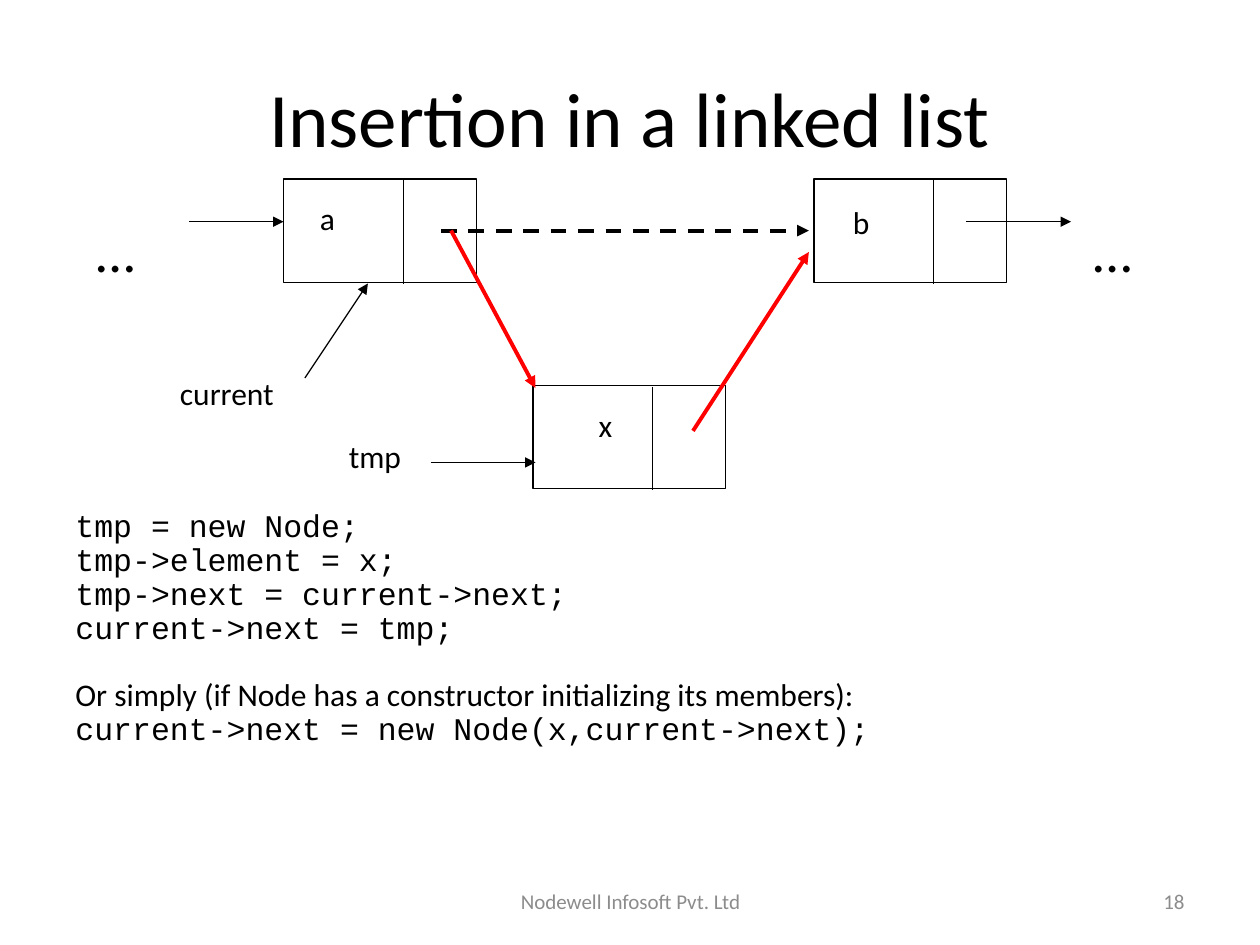
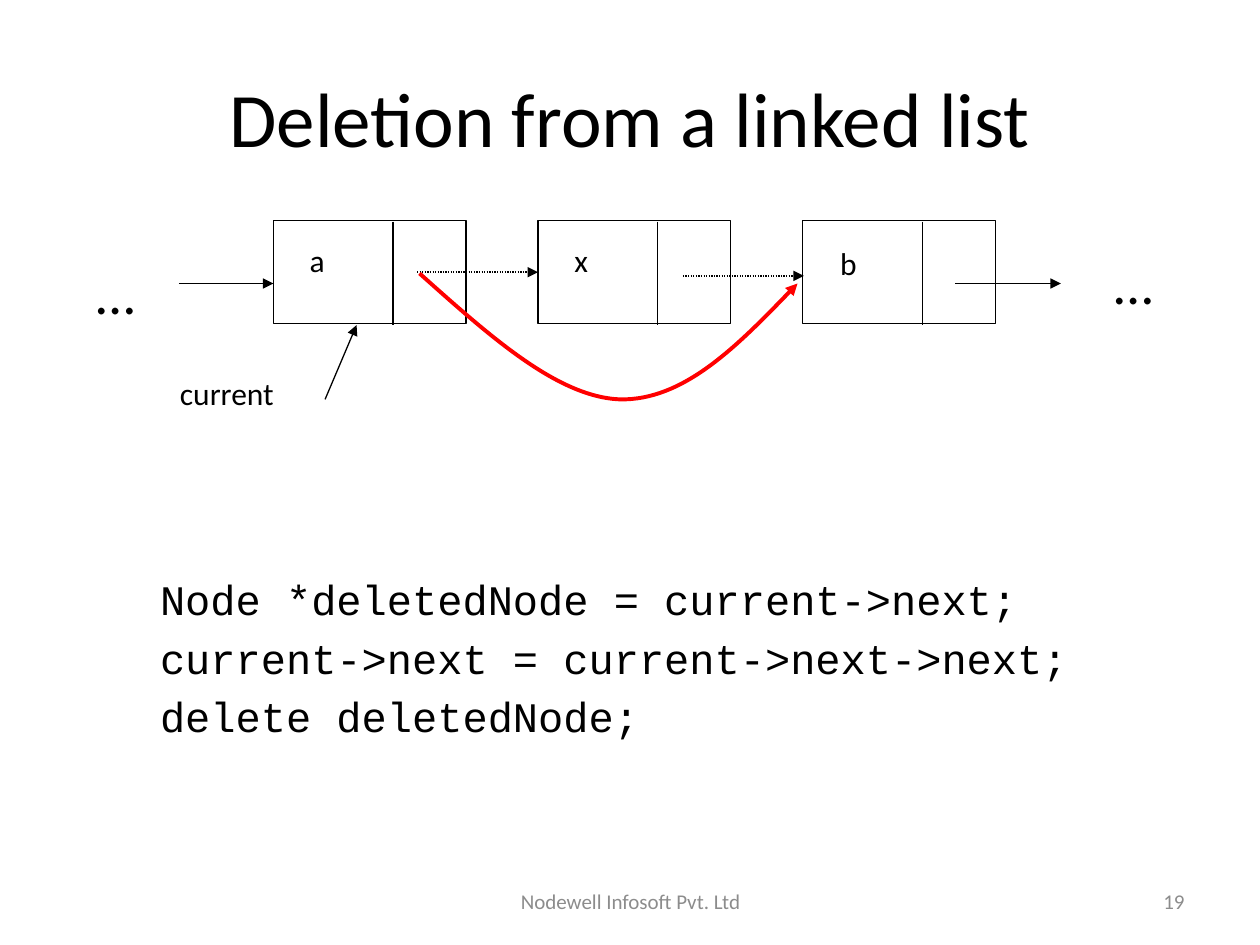
import lxml.etree
import pptx
import pptx.dml.color
import pptx.enum.dml
import pptx.enum.shapes
import pptx.enum.text
import pptx.oxml.ns
import pptx.util

BLACK, WHITE, RED, GREY = "000000", "FFFFFF", "FF0000", "8C8C8C"
SANS, MONO = "Calibri", "Courier New"
NODE_WIDTH, NODE_HEIGHT, DIVIDER = 1.53, 0.82, 0.95
Inches = pptx.util.Inches
Align = pptx.enum.text.PP_ALIGN
Dash = pptx.enum.dml.MSO_LINE


def color(value):
    """Turn a hex string into a colour."""
    return pptx.dml.color.RGBColor.from_string(value)


def style(paragraph, size, font=SANS, tint=BLACK, align=Align.LEFT):
    """Set the font and alignment of a paragraph."""
    paragraph.font.size = pptx.util.Pt(size)
    paragraph.font.name = font
    paragraph.font.color.rgb = color(tint)
    paragraph.alignment = align


def place(shape, left, top, width, height):
    """Move and size a shape, in inches."""
    shape.left, shape.top = Inches(left), Inches(top)
    shape.width, shape.height = Inches(width), Inches(height)


def add_text(slide, text, box, size, tint=BLACK, align=Align.LEFT,
             anchor=pptx.enum.text.MSO_ANCHOR.TOP):
    """Add a one-paragraph text box."""
    shape = slide.shapes.add_textbox(*map(Inches, box))
    frame = shape.text_frame
    frame.word_wrap = True
    frame.vertical_anchor = anchor
    frame.text = text
    style(frame.paragraphs[0], size, tint=tint, align=align)


def style_line(shape, tint=BLACK, width=0.75, dash=None, arrow=True):
    """Set the stroke of a line or curve, with an arrowhead at its end."""
    line = shape.line
    line.color.rgb = color(tint)
    line.width = pptx.util.Pt(width)
    if dash is not None:
        line.dash_style = dash
    if arrow:
        stroke = shape._element.spPr.find(pptx.oxml.ns.qn("a:ln"))
        lxml.etree.SubElement(stroke, pptx.oxml.ns.qn("a:tailEnd"), type="triangle")


def add_line(slide, origin, start, end, **stroke):
    """Draw a straight line between two points relative to the origin."""
    left, top = origin
    connector = slide.shapes.add_connector(
        pptx.enum.shapes.MSO_CONNECTOR.STRAIGHT,
        Inches(left + start[0]), Inches(top + start[1]),
        Inches(left + end[0]), Inches(top + end[1]))
    style_line(connector, **stroke)
    lxml.etree.SubElement(connector._element.spPr, pptx.oxml.ns.qn("a:effectLst"))


def add_curve(slide, origin, points, **stroke):
    """Draw a cubic curve through points relative to the origin."""
    corners = [(Inches(origin[0] + x), Inches(origin[1] + y)) for x, y in points]
    builder = slide.shapes.build_freeform(*corners[0], scale=1.0)
    builder.add_line_segments(corners[1:], close=False)
    curve = builder.convert_to_shape()
    segments = list(curve._element.iter(pptx.oxml.ns.qn("a:lnTo")))
    outline = segments[0].getparent()
    for first in range(0, len(segments), 3):
        bezier = lxml.etree.SubElement(outline, pptx.oxml.ns.qn("a:cubicBezTo"))
        for segment in segments[first:first + 3]:
            bezier.append(segment[0])
            outline.remove(segment)
    curve.shadow.inherit = False
    curve.fill.background()
    style_line(curve, **stroke)


def add_node(slide, origin, offset, label, label_offset=(0.19, 0.11), align=Align.LEFT):
    """Draw a list node: a data cell with its label and a pointer cell."""
    left, top = origin[0] + offset[0], origin[1] + offset[1]
    box = slide.shapes.add_shape(
        pptx.enum.shapes.MSO_SHAPE.RECTANGLE,
        *map(Inches, (left, top, NODE_WIDTH, NODE_HEIGHT)))
    box.shadow.inherit = False
    box.fill.solid()
    box.fill.fore_color.rgb = color(WHITE)
    style_line(box, arrow=False)
    add_line(slide, (left, top), (DIVIDER, 0.01), (DIVIDER, NODE_HEIGHT + 0.01), arrow=False)
    add_text(slide, label, (left + label_offset[0], top + label_offset[1], 0.77, 0.61),
             18, align=align)


def add_label(slide, origin, offset, text, size=18, width=1.5, height=0.5):
    """Add a label at an offset from the origin."""
    add_text(slide, text, (origin[0] + offset[0], origin[1] + offset[1], width, height), size)


def add_ellipses(slide, origin, offsets):
    """Mark where the list goes on beyond the diagram."""
    for offset in offsets:
        add_label(slide, origin, offset, "…", 32, 0.83, 0.63)


def add_frame(presentation, layout, title, number):
    """Add a slide with its title, footer and number."""
    slide = presentation.slides.add_slide(presentation.slide_layouts[layout])
    place(slide.shapes.title, 0.5, 0.3, 9, 1.25)
    slide.shapes.title.text_frame.text = title
    style(slide.shapes.title.text_frame.paragraphs[0], 44, align=Align.CENTER)
    middle = pptx.enum.text.MSO_ANCHOR.MIDDLE
    add_text(slide, "Nodewell Infosoft Pvt. Ltd", (3.42, 6.95, 3.17, 0.4), 12, GREY,
             Align.CENTER, middle)
    add_text(slide, str(number), (7.17, 6.95, 2.33, 0.4), 12, GREY, Align.RIGHT, middle)
    return slide


def add_insertion_diagram(slide, origin):
    """Draw node x being linked between nodes a and b."""
    add_node(slide, origin, (1.58, 0), "a")
    add_node(slide, origin, (5.79, 0), "b", (0.21, 0.14))
    add_node(slide, origin, (3.56, 1.64), "x", align=Align.CENTER)
    add_ellipses(slide, origin, [(0, 0.25), (7.91, 0.25)])
    add_label(slide, origin, (0.66, 1.5), "current")
    add_label(slide, origin, (2, 2), "tmp")
    for start, end in [((0.83, 0.34), (1.58, 0.34)), ((7, 0.34), (7.83, 0.34)),
                       ((1.75, 1.58), (2.25, 0.83)), ((2.75, 2.25), (3.58, 2.25))]:
        add_line(slide, origin, start, end)
    add_line(slide, origin, (2.83, 0.41), (5.75, 0.41), width=2.25, dash=Dash.DASH)
    for start, end in [((2.91, 0.41), (3.58, 1.66)), ((4.83, 2), (5.75, 0.58))]:
        add_line(slide, origin, start, end, tint=RED, width=2.25)


def add_deletion_diagram(slide, origin):
    """Draw node x being bypassed between nodes a and b."""
    for index, (label, offset) in enumerate(
            [("a", (0.19, 0.11)), ("x", (0.19, 0.11)), ("b", (0.2, 0.14))]):
        add_node(slide, origin, (1.5 + 2.1 * index, 0), label, offset)
    add_ellipses(slide, origin, [(0, 0.25), (8.08, 0.17)])
    add_label(slide, origin, (0.66, 1.17), "current")
    for start, end in [((0.75, 0.5), (1.5, 0.5)), ((6.91, 0.5), (7.75, 0.5)),
                       ((1.91, 1.42), (2.16, 0.83))]:
        add_line(slide, origin, start, end)
    for start, height in [(2.64, 0.41), (4.75, 0.44)]:
        add_line(slide, origin, (start, height), (start + 0.96, height),
                 dash=Dash.ROUND_DOT)
    add_curve(slide, origin, [(2.66, 0.42), (3.21, 0.91), (3.75, 1.4), (4.25, 1.42),
                              (4.75, 1.43), (5.21, 0.97), (5.66, 0.5)],
              tint=RED, width=2.25)


def add_insertion_code(slide, box):
    """Add the insertion steps and their shorter form."""
    frame = slide.shapes.add_textbox(*map(Inches, box)).text_frame
    frame.word_wrap = True
    remark = "Or simply (if Node has a constructor initializing its members):"
    lines = ["tmp = new Node;", "tmp->element = x;", "tmp->next = current->next;",
             "current->next = tmp;", remark, "current->next = new Node(x,current->next);"]
    frame.text = "\n".join(lines)
    for paragraph in frame.paragraphs:
        is_remark = paragraph.text == remark
        style(paragraph, 18, SANS if is_remark else MONO)
        paragraph.line_spacing = 0.9
        if is_remark:
            paragraph.space_before = pptx.util.Pt(19)


def add_deletion_code(slide, box):
    """Fill the body placeholder with the deletion steps."""
    body = slide.placeholders[1]
    place(body, *box)
    body.text_frame.text = "\n".join([
        "Node *deletedNode = current->next;", "current->next = current->next->next;",
        "delete deletedNode;"])
    for paragraph in body.text_frame.paragraphs:
        style(paragraph, 24, MONO)
        properties = paragraph._p.get_or_add_pPr()
        properties.set("marL", str(Inches(0.38)))
        properties.set("indent", str(-Inches(0.38)))
        lxml.etree.SubElement(properties, pptx.oxml.ns.qn("a:buNone"))
        properties.insert(0, properties[-1])


def build():
    """Build and save the presentation."""
    presentation = pptx.Presentation()
    presentation.slide_width, presentation.slide_height = Inches(10), Inches(7.5)
    insertion = add_frame(presentation, 5, "Insertion in a linked list", 18)
    add_insertion_diagram(insertion, (0.67, 1.42))
    add_insertion_code(insertion, (0.5, 4, 8.92, 2.62))
    deletion = add_frame(presentation, 1, "Deletion from a linked list", 19)
    add_deletion_diagram(deletion, (0.67, 1.75))
    add_deletion_code(deletion, (1.17, 4.5, 7.92, 2.08))
    presentation.save("out.pptx")


build()
